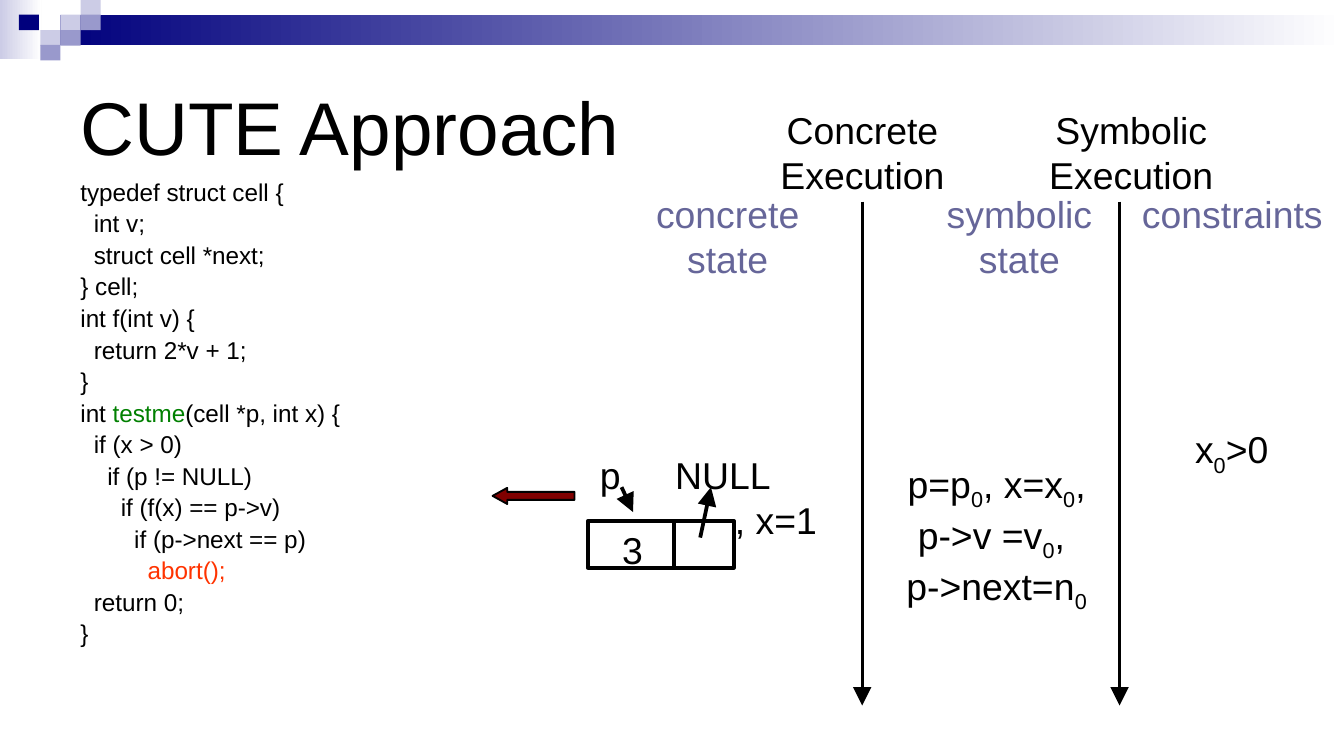
from dataclasses import dataclass
from typing import Optional

from lxml.etree import SubElement
from pptx import Presentation
from pptx.dml.color import RGBColor
from pptx.enum.shapes import MSO_CONNECTOR, MSO_SHAPE
from pptx.enum.text import MSO_ANCHOR, PP_ALIGN
from pptx.oxml.ns import qn
from pptx.util import Pt

EMU_PER_PX = 4572  # 200 px to the inch

BLACK = RGBColor(0x00, 0x00, 0x00)
WHITE = RGBColor(0xFF, 0xFF, 0xFF)
NAVY = RGBColor(0x00, 0x00, 0x7D)
LAVENDER = RGBColor(0xCC, 0xCC, 0xE6)
PERIWINKLE = RGBColor(0x99, 0x99, 0xCC)
SLATE = RGBColor(0x66, 0x66, 0x99)
GREEN = RGBColor(0x00, 0x80, 0x00)
ORANGE = RGBColor(0xFF, 0x33, 0x00)
MAROON = RGBColor(0x80, 0x00, 0x00)


@dataclass(frozen=True)
class Area:
    left: int
    top: int
    width: int
    height: int

    def emu(self) -> list[int]:
        return [px(side) for side in (self.left, self.top, self.width, self.height)]


@dataclass(frozen=True)
class Span:
    text: str
    color: Optional[RGBColor] = None
    subscript: bool = False


@dataclass(frozen=True)
class Line:
    spans: tuple[Span, ...]
    indent: int = 0


@dataclass(frozen=True)
class Label:
    area: Area
    lines: tuple[Line, ...]
    color: RGBColor = BLACK
    size: int = 20
    align: PP_ALIGN = PP_ALIGN.CENTER
    anchor: MSO_ANCHOR = MSO_ANCHOR.TOP
    line_spacing: float = 1.0
    gap: float = 0
    one_paragraph: bool = False


@dataclass(frozen=True)
class Stroke:
    start: tuple[int, int]
    end: tuple[int, int]
    width: float = 2
    head: Optional[str] = "med"


def px(length: int) -> int:
    return length * EMU_PER_PX


def plain(text: str, indent: int = 0) -> Line:
    return Line((Span(text),), indent)


def indexed(text: str) -> Line:
    """Split text at underscores; the digit after each one is a subscript."""
    head, *rest = text.split("_")
    spans = [Span(head)]
    for part in rest:
        spans.append(Span(part[0], subscript=True))
        if part[1:]:
            spans.append(Span(part[1:]))
    return Line(tuple(spans))


def write(frame, label: Label) -> None:
    frame.word_wrap = True
    frame.vertical_anchor = label.anchor
    para = frame.paragraphs[0]
    for number, line in enumerate(label.lines):
        if number and label.one_paragraph:
            para.add_line_break()
        elif number:
            para = frame.add_paragraph()
            para.space_before = Pt(label.gap)
        para.alignment = label.align
        para.line_spacing = label.line_spacing
        if line.indent:
            para._p.get_or_add_pPr().set("marL", str(px(line.indent)))
        for span in line.spans:
            run = para.add_run()
            run.text = span.text
            run.font.name = "Arial"
            run.font.size = Pt(label.size)
            run.font.color.rgb = span.color or label.color
            if span.subscript:
                run.font._element.set("baseline", "-25000")


def draw_label(page, label: Label) -> None:
    write(page.shapes.add_textbox(*label.area.emu()).text_frame, label)


def draw_shape(page, area: Area, fill: Optional[RGBColor] = None,
               line_width: float = 0, kind=MSO_SHAPE.RECTANGLE):
    shape = page.shapes.add_shape(kind, *area.emu())
    shape.shadow.inherit = False
    if fill is None:
        shape.fill.background()
    else:
        shape.fill.solid()
        shape.fill.fore_color.rgb = fill
    if line_width:
        shape.line.color.rgb = BLACK
        shape.line.width = Pt(line_width)
    else:
        shape.line.fill.background()
    return shape


def draw_fade(page, area: Area, color: RGBColor) -> None:
    """Draw a band that fades to white from left to right."""
    band = draw_shape(page, area)
    band.fill.gradient()
    band.fill.gradient_angle = 0
    for stop, shade, position in zip(band.fill.gradient_stops, (color, WHITE), (0, 1)):
        stop.color.rgb = shade
        stop.position = position


def draw_stroke(page, stroke: Stroke) -> None:
    ends = [px(value) for value in stroke.start + stroke.end]
    connector = page.shapes.add_connector(MSO_CONNECTOR.STRAIGHT, *ends)
    connector.line.color.rgb = BLACK
    connector.line.width = Pt(stroke.width)
    if stroke.head:
        SubElement(connector.line._get_or_add_ln(), qn("a:tailEnd"),
                   type="triangle", w=stroke.head, len=stroke.head)
    SubElement(connector._element.spPr, qn("a:effectLst"))


COLUMNS = (28, 60, 90, 120)
ROWS = (0, 22, 45, 67)
TILES = (  # column, row, colour
    (2, 1, LAVENDER), (3, 0, LAVENDER), (3, 1, PERIWINKLE), (1, 2, LAVENDER),
    (0, 1, NAVY), (2, 2, PERIWINKLE), (1, 3, PERIWINKLE),
)

CODE = (
    plain("typedef struct cell {"),
    plain("  int v;"),
    plain("  struct cell *next;"),
    plain("} cell;"),
    plain("int f(int v) {"),
    plain("  return 2*v + 1;"),
    plain("}"),
    Line((Span("int "), Span("testme", GREEN), Span("(cell *p, int x) {"))),
    plain("  if (x > 0)"),
    plain("    if (p != NULL)"),
    plain("      if (f(x) == p->v)"),
    plain("        if (p->next == p)"),
    Line((Span("          "), Span("abort();", ORANGE))),
    plain("  return 0;"),
    plain("}"),
)

LABELS = (
    Label(Area(100, 75, 1800, 224), (plain("CUTE Approach"),), size=40,
          align=PP_ALIGN.LEFT, anchor=MSO_ANCHOR.MIDDLE),
    Label(Area(100, 262, 884, 724), CODE, size=13, align=PP_ALIGN.LEFT,
          line_spacing=0.8, gap=4.4),
    Label(Area(1117, 150, 333, 116), (plain("Concrete Execution"),)),
    Label(Area(1517, 150, 333, 116), (plain("Symbolic Execution"),)),
    Label(Area(933, 275, 300, 116), (plain("concrete state"),), SLATE),
    Label(Area(1367, 275, 300, 116), (plain("symbolic state"),), SLATE),
    Label(Area(1668, 275, 332, 64), (plain("constraints"),), SLATE),
    Label(Area(1291, 676, 384, 166),
          (indexed("p=p_0, x=x_0,"), indexed("p->v =v_0, "), indexed("p->next=n_0")),
          one_paragraph=True),
    Label(Area(842, 663, 466, 116), (plain("p", 31), plain(", x=1", 232)),
          align=PP_ALIGN.LEFT),
    Label(Area(976, 663, 200, 64), (plain("NULL"),)),
    Label(Area(1666, 625, 334, 66), (indexed("x_0>0"),)),
)

CELL = Label(Area(875, 775, 217, 70), (plain("3", 31),), align=PP_ALIGN.LEFT)

STROKES = (
    Stroke((1283, 300), (1283, 1050), 1.5, "lg"),
    Stroke((1666, 300), (1666, 1050), 1.5, "lg"),
    Stroke((925, 725), (942, 762), head="lg"),
    Stroke((1042, 800), (1058, 725), head="lg"),
    Stroke((1003, 845), (1003, 775), head=None),
)


def main() -> None:
    deck = Presentation()
    deck.slide_width, deck.slide_height = px(2000), px(1125)
    page = deck.slides.add_slide(deck.slide_layouts[6])

    draw_fade(page, Area(0, 0, 62, 88), LAVENDER)
    draw_fade(page, Area(90, 22, 1910, 45), NAVY)
    for column, row, color in TILES:
        draw_shape(page, Area(COLUMNS[column], ROWS[row], 30, 23), color)

    for label in LABELS:
        draw_label(page, label)
    pointer = draw_shape(page, Area(733, 726, 122, 24), MAROON, 1, MSO_SHAPE.LEFT_ARROW)
    pointer.adjustments[1] = 0.91
    write(draw_shape(page, CELL.area, line_width=2).text_frame, CELL)
    for stroke in STROKES:
        draw_stroke(page, stroke)

    deck.save("out.pptx")


if __name__ == "__main__":
    main()
